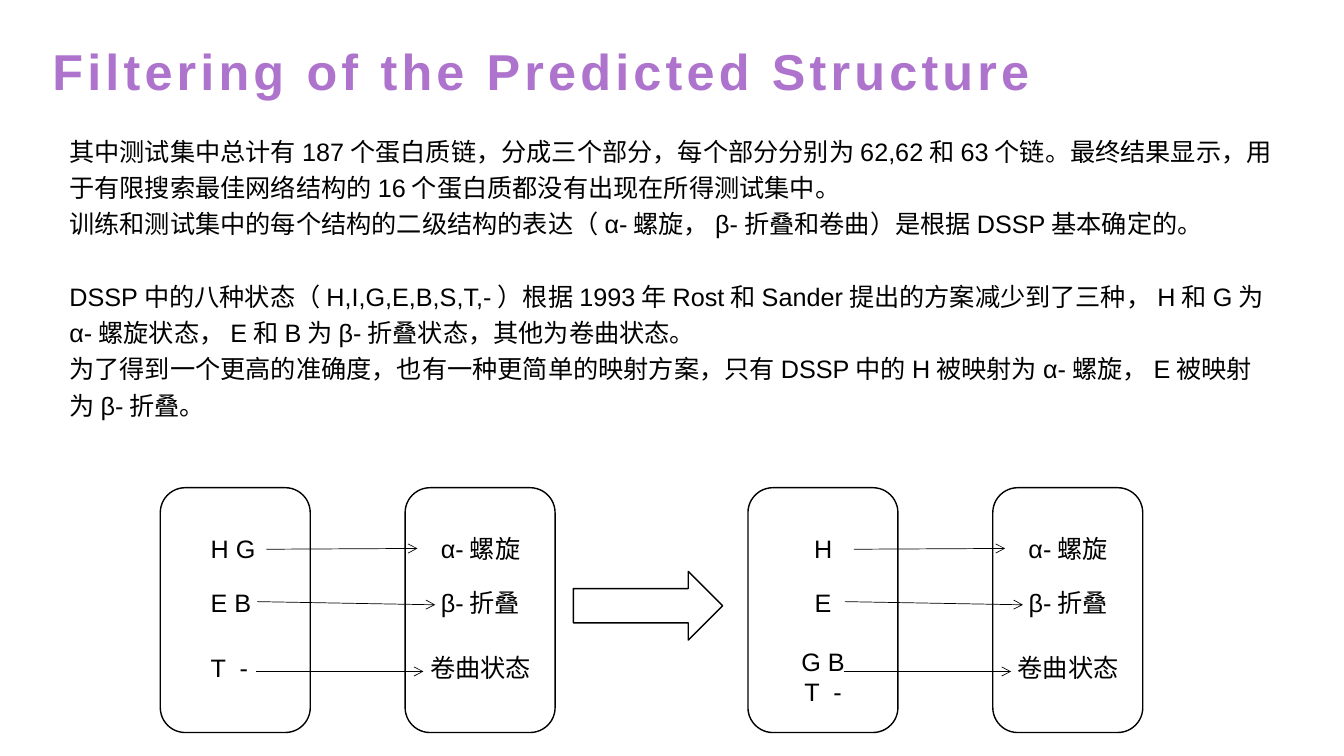
from dataclasses import dataclass

from lxml import etree
from pptx import Presentation
from pptx import util as u
from pptx.dml.color import RGBColor
from pptx.enum import shapes, text
from pptx.oxml import ns


@dataclass
class Theme:
    font: str = "Arial"
    title: RGBColor = RGBColor(0xAE, 0x73, 0xCC)
    ink: RGBColor = RGBColor(0, 0, 0)
    paper: RGBColor = RGBColor(255, 255, 255)
    title_size: u.Pt = u.Pt(36)
    body_size: u.Pt = u.Pt(18)
    outline: u.Pt = u.Pt(1)
    thin: u.Pt = u.Pt(0.5)


theme = Theme()
LEFT, CENTER = text.PP_ALIGN.LEFT, text.PP_ALIGN.CENTER

deck = Presentation()
deck.slide_width, deck.slide_height = u.Cm(33.87), u.Cm(19.05)
page = deck.slides.add_slide(deck.slide_layouts[6])


def add_text(place, lines, align=LEFT, size=theme.body_size, color=theme.ink):
    """Add a text box with one paragraph per line; place is in centimetres."""
    box = page.shapes.add_textbox(*map(u.Cm, place))
    frame = box.text_frame
    frame.word_wrap = True
    frame.auto_size = text.MSO_AUTO_SIZE.SHAPE_TO_FIT_TEXT
    for index, line in enumerate(lines):
        para = frame.paragraphs[0] if index == 0 else frame.add_paragraph()
        para.alignment = align
        para.font.name, para.font.size = theme.font, size
        para.font.color.rgb = color
        span = para.add_run()
        span.text = line
        if line == "T -":  # widely set pair of states
            span._r.get_or_add_rPr().set("spc", "250")
    return frame


def add_outline(kind, place):
    """Add a white shape with a black outline; place is in centimetres."""
    shape = page.shapes.add_shape(kind, *map(u.Cm, place))
    shape.shadow.inherit = False
    shape.fill.solid()
    shape.fill.fore_color.rgb = theme.paper
    shape.line.color.rgb = theme.ink
    shape.line.width = theme.outline


# Title
title = add_text((1.07, 0.79, 30.48, 1.96), ["Filtering of the Predicted Structure"],
                 size=theme.title_size, color=theme.title)
title.auto_size = text.MSO_AUTO_SIZE.NONE
title.vertical_anchor = text.MSO_ANCHOR.MIDDLE
title.paragraphs[0].font.bold = True
title.paragraphs[0].runs[0]._r.get_or_add_rPr().set("spc", "300")

# Explanation, in two groups of two paragraphs
body = add_text((1.5, 3.15, 30.89, 7.65), [
    "其中测试集中总计有187个蛋白质链，分成三个部分，每个部分分别为62,62和63个链。"
    "最终结果显示，用于有限搜索最佳网络结构的16个蛋白质都没有出现在所得测试集中。",
    "训练和测试集中的每个结构的二级结构的表达（α-螺旋，β-折叠和卷曲）是根据DSSP基本确定的。",
    "DSSP中的八种状态（H,I,G,E,B,S,T,-）根据1993年Rost和Sander提出的方案减少到了三种，"
    "H和G为α-螺旋状态，E和B为β-折叠状态，其他为卷曲状态。",
    "为了得到一个更高的准确度，也有一种更简单的映射方案，"
    "只有DSSP中的H被映射为α-螺旋，E被映射为β-折叠。",
])
for para in body.paragraphs:
    para.line_spacing = 1.2
body.paragraphs[2].space_before = u.Pt(26)

# Two mapping schemes: DSSP states on the left, reduced states on the right
box_top, box_width, box_height, box_step = 12.29, 3.78, 6.17, 6.17
row_tops = (13.31, 14.68, 16.31)
reduced_states = ("α-螺旋", "β-折叠", "卷曲状态")
# Arrow ends relative to the scheme's left edge: x1, y1, x2, y2
arrows = ((2.67, 13.84, 6.48, 13.82), (2.44, 15.16, 6.93, 15.24), (2.41, 16.92, 6.63, 16.92))
# Left edge, label inset, label alignment, DSSP states by row
schemes = (
    (4.04, 1.02, LEFT, (["H G"], ["E B"], ["T -"])),
    (18.85, 0.61, CENTER, (["H"], ["E"], ["G B", "T -"])),
)
for left, inset, align, dssp_states in schemes:
    for box_left in (left, left + box_step):
        add_outline(shapes.MSO_SHAPE.ROUNDED_RECTANGLE,
                    (box_left, box_top, box_width, box_height))
    for top, states, reduced, ends in zip(row_tops, dssp_states, reduced_states, arrows):
        extra = len(states) - 1
        add_text((left + inset, top - 0.16 * extra, 2.57, 1.02 + 0.78 * extra), states, align)
        add_text((left + 6.48, top, 3.18, 1.02), [reduced], CENTER)
        x1, y1, x2, y2 = ends
        arrow = page.shapes.add_connector(
            shapes.MSO_CONNECTOR.STRAIGHT,
            u.Cm(left + x1), u.Cm(y1), u.Cm(left + x2), u.Cm(y2))
        arrow.line.color.rgb = theme.ink
        arrow.line.width = theme.thin
        etree.SubElement(arrow.line._get_or_add_ln(), ns.qn("a:tailEnd"), type="arrow")
        etree.SubElement(arrow._element.spPr, ns.qn("a:effectLst"))

# Block arrow from the first scheme to the second
add_outline(shapes.MSO_SHAPE.RIGHT_ARROW, (14.45, 14.4, 3.76, 1.73))

deck.save("out.pptx")
